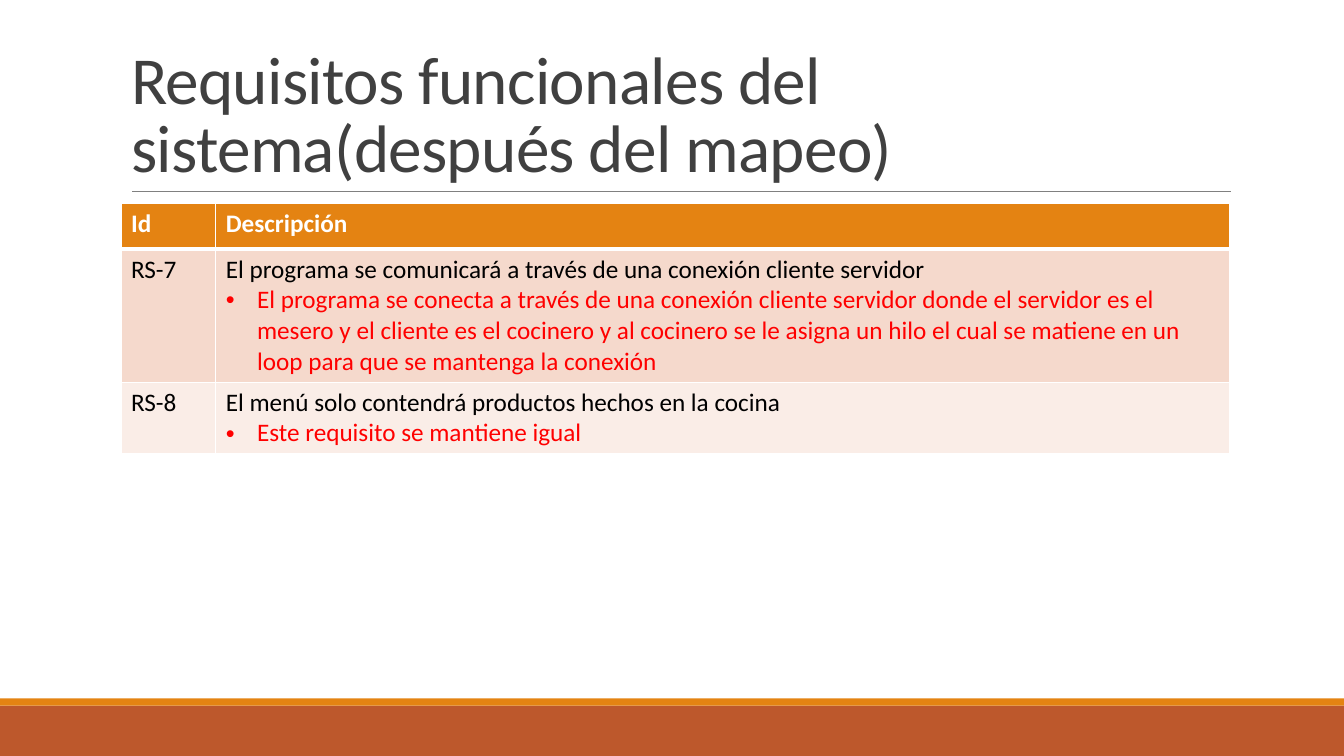
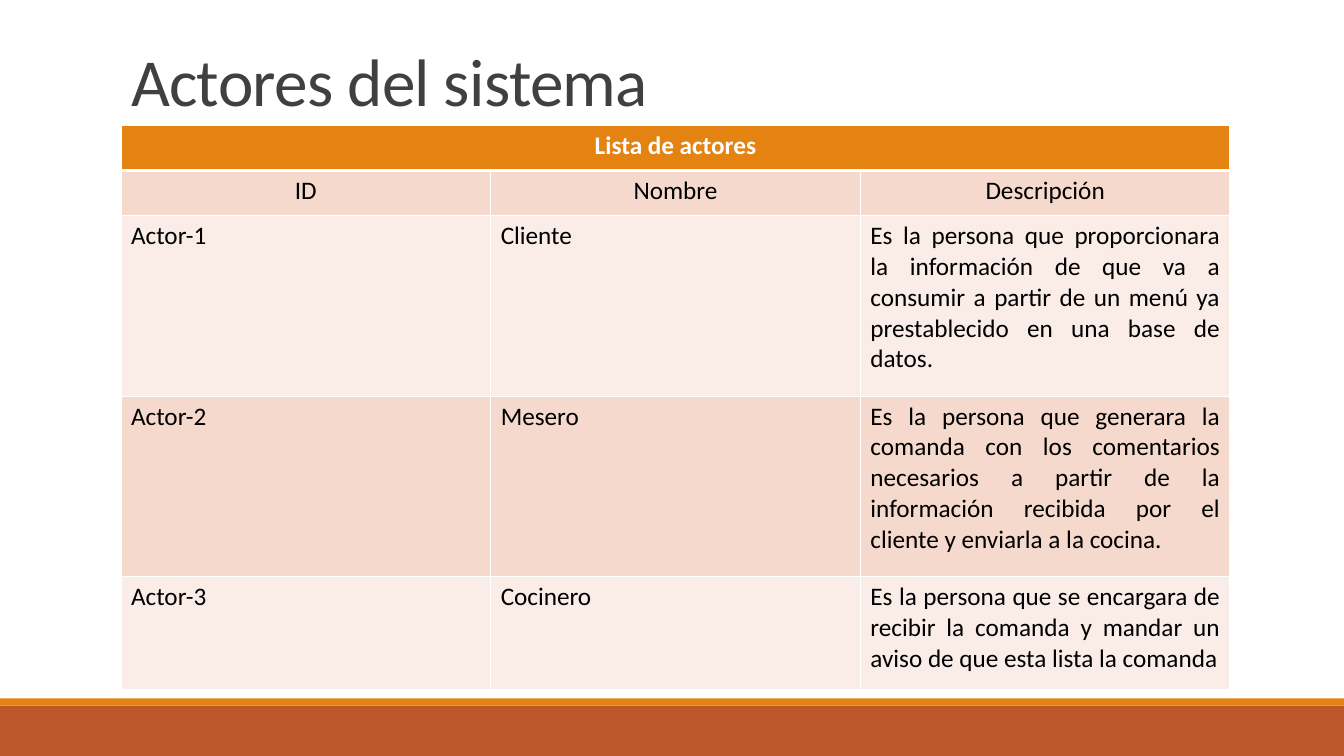
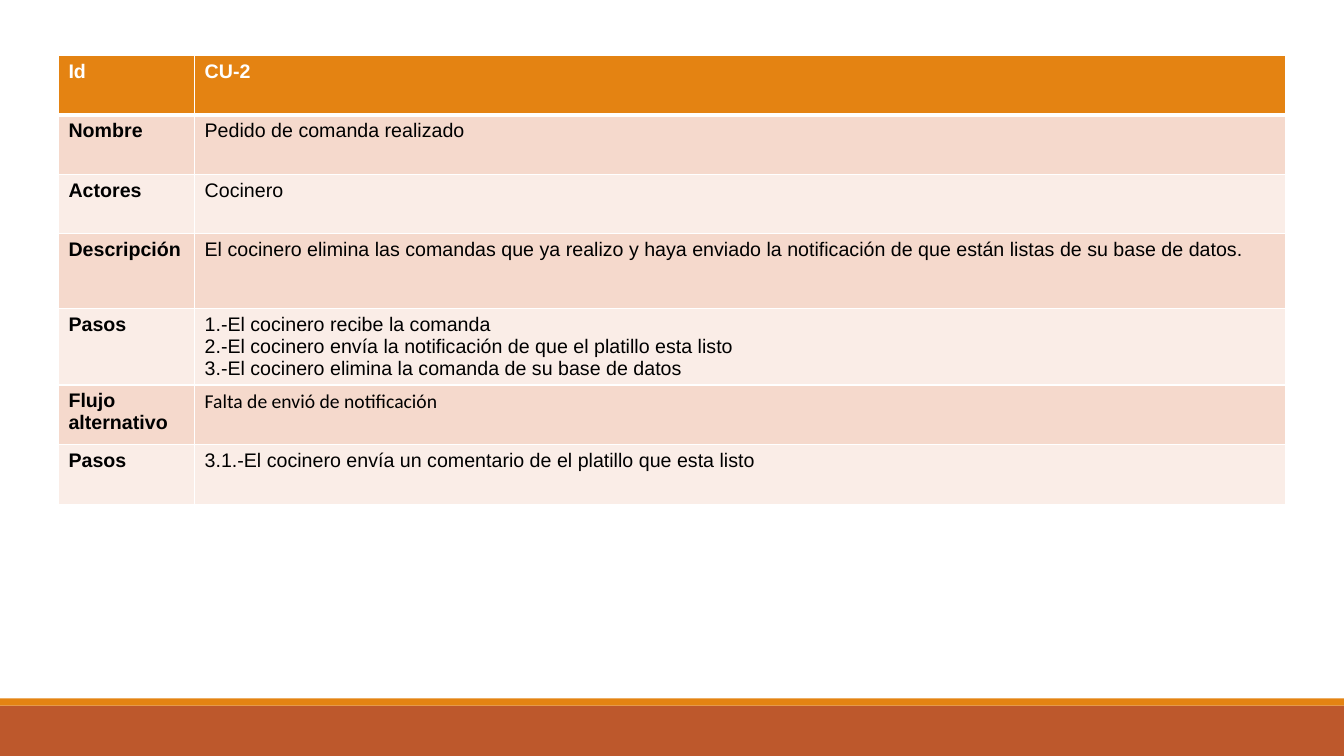
from lxml import etree
from pptx import Presentation
from pptx.dml.color import RGBColor
from pptx.enum.shapes import MSO_CONNECTOR, MSO_SHAPE
from pptx.enum.text import MSO_ANCHOR, MSO_AUTO_SIZE, PP_ALIGN
from pptx.oxml.ns import qn
from pptx.util import Inches, Pt

CENTER, JUSTIFY = PP_ALIGN.CENTER, PP_ALIGN.JUSTIFY
WHITE = RGBColor(0xFF, 0xFF, 0xFF)
BLACK = RGBColor(0x00, 0x00, 0x00)
RED = RGBColor(0xFF, 0x00, 0x00)
GRAY = RGBColor(0x80, 0x80, 0x80)
TITLE_GRAY = RGBColor(0x40, 0x40, 0x40)
ORANGE = RGBColor(0xE4, 0x83, 0x12)
RUST = RGBColor(0xBD, 0x58, 0x2C)
DARK_BAND = RGBColor(0xF5, 0xD9, 0xCC)
LIGHT_BAND = RGBColor(0xFA, 0xED, 0xE7)
BULLET = "• "


def add_solid_fill(parent, color):
    fill = etree.SubElement(parent, qn("a:solidFill"))
    etree.SubElement(fill, qn("a:srgbClr"), val=str(color))


def add_banded_table(page, left, top, widths, heights, rows, font="Calibri", size=18):
    """Add a table whose cells hold a text or a list of paragraph texts."""
    frame = page.shapes.add_table(
        len(heights), len(widths), Inches(left), Inches(top),
        Inches(sum(widths)), Inches(sum(heights)))
    table = frame.table
    for column, width in zip(table.columns, widths):
        column.width = Inches(width)
    for row, height in zip(table.rows, heights):
        row.height = Inches(height)

    for row_index, row in enumerate(rows):
        is_header = row_index == 0
        for column_index, content in enumerate(row):
            cell = table.cell(row_index, column_index)
            properties = cell._tc.get_or_add_tcPr()
            for side in ("L", "R", "T", "B"):
                thick = (row_index, side) in ((0, "B"), (1, "T"))
                border = etree.SubElement(
                    properties, qn(f"a:ln{side}"), w=str(Pt(3 if thick else 1)))
                add_solid_fill(border, WHITE)
            cell.fill.solid()
            band = DARK_BAND if row_index % 2 else LIGHT_BAND
            cell.fill.fore_color.rgb = ORANGE if is_header else band

            texts = [content] if isinstance(content, str) else content
            for text_index, text in enumerate(texts):
                text_frame = cell.text_frame
                para = text_frame.add_paragraph() if text_index else text_frame.paragraphs[0]
                is_bullet = text.startswith(BULLET)
                span = para.add_run()
                span.text = text.removeprefix(BULLET)
                span.font.name = font
                span.font.size = Pt(size)
                span.font.bold = is_header
                span.font.color.rgb = WHITE if is_header else RED if is_bullet else BLACK
                if is_bullet:
                    settings = para._p.get_or_add_pPr()
                    settings.set("marL", str(Inches(0.31)))
                    settings.set("indent", str(Inches(-0.31)))
                    etree.SubElement(settings, qn("a:buFont"), typeface="Arial")
                    etree.SubElement(settings, qn("a:buChar"), char=BULLET.strip())
    return table


deck = Presentation()
deck.slide_width = Inches(13.33)
deck.slide_height = Inches(7.5)
master = deck.slide_master
TITLE_ONLY, BLANK = deck.slide_layouts[5], deck.slide_layouts[6]

# Title style of the master
master_title = next(shape for shape in master.placeholders if shape.placeholder_format.idx == 0)
master_title.left, master_title.top = Inches(1.2), Inches(0.31)
master_title.width, master_title.height = Inches(11), Inches(1.59)
master_title.text_frame.vertical_anchor = MSO_ANCHOR.BOTTOM
master_title.text_frame.auto_size = MSO_AUTO_SIZE.NONE

title_level = master.element.find(".//" + qn("p:titleStyle")).find(qn("a:lvl1pPr"))
title_level.set("algn", "l")
line_spacing = etree.Element(qn("a:lnSpc"))
etree.SubElement(line_spacing, qn("a:spcPct"), val="85000")
title_level.insert(0, line_spacing)
title_level.remove(title_level.find(qn("a:defRPr")))
title_font = etree.SubElement(title_level, qn("a:defRPr"), sz="4800", spc="-50")
add_solid_fill(title_font, TITLE_GRAY)
etree.SubElement(title_font, qn("a:latin"), typeface="Calibri")

# Functional requirements
page = deck.slides.add_slide(TITLE_ONLY)

# Footer bands and title rule, moved to the master so that every slide shows them
decorations = []
for top, height, color in ((7, 0.5, RUST), (6.93, 0.07, ORANGE)):
    footer_band = page.shapes.add_shape(
        MSO_SHAPE.RECTANGLE, 0, Inches(top), deck.slide_width, Inches(height))
    footer_band.shadow.inherit = False
    footer_band.fill.solid()
    footer_band.fill.fore_color.rgb = color
    footer_band.line.fill.background()
    decorations.append(footer_band)
title_rule = page.shapes.add_connector(
    MSO_CONNECTOR.STRAIGHT, Inches(1.31), Inches(1.9), Inches(12.21), Inches(1.9))
title_rule.line.color.rgb = GRAY
title_rule.line.width = Pt(0.5)
etree.SubElement(title_rule.element.spPr, qn("a:effectLst"))
decorations.append(title_rule)
for shape_id, decoration in enumerate(decorations, start=101):
    decoration.element.xpath(".//p:cNvPr")[0].set("id", str(shape_id))
    master.shapes.element.append(decoration.element)

page.shapes.title.text_frame.paragraphs[0].add_run().text = (
    "Requisitos funcionales del sistema(después del mapeo)")
add_banded_table(page, 1.2, 2.02, [0.94, 10.06], [0.45, 1.3, 0.7], [
    ["Id", "Descripción"],
    ["RS-7", [
        "El programa se comunicará a través de una conexión cliente servidor",
        BULLET + "El programa se conecta a través de una conexión cliente servidor donde "
        "el servidor es el mesero y el cliente es el cocinero y al cocinero se le asigna "
        "un hilo el cual se matiene en un loop para que se mantenga la conexión"]],
    ["RS-8", [
        "El menú solo contendrá productos hechos en la cocina",
        BULLET + "Este requisito se mantiene igual"]],
])

# Actors
page = deck.slides.add_slide(TITLE_ONLY)
title = page.shapes.title
title.left, title.top = Inches(1.2), Inches(0.31)
title.width, title.height = Inches(11), Inches(0.93)
title.text_frame.paragraphs[0].add_run().text = "Actores del sistema"
actors = add_banded_table(page, 1.2, 1.24, [11 / 3] * 3, [0.45, 0.45, 1.79, 1.79, 1.12], [
    ["Lista de actores"],
    ["ID", "Nombre", "Descripción"],
    ["Actor-1", "Cliente",
     "Es la persona que proporcionara la información de que va a consumir a partir de un "
     "menú ya prestablecido en una base de datos."],
    ["Actor-2", "Mesero",
     "Es la persona que generara la comanda con los comentarios necesarios a partir de la "
     "información recibida por el cliente y enviarla a la cocina."],
    ["Actor-3", "Cocinero",
     "Es la persona que se encargara de recibir la comanda y mandar un aviso de que esta "
     "lista la comanda"],
])
actors.cell(0, 0).merge(actors.cell(0, 2))
for row_index, row in enumerate(actors.rows):
    for cell in row.cells:
        cell.text_frame.paragraphs[0].alignment = CENTER if row_index < 2 else JUSTIFY

# Use case
page = deck.slides.add_slide(BLANK)
use_case = add_banded_table(
    page, 0.58, 0.55, [1.35, 10.82], [0.59, 0.59, 0.59, 0.74, 0.76, 0.59, 0.6], [
        ["Id", "CU-2"],
        ["Nombre", "Pedido de comanda realizado"],
        ["Actores", "Cocinero"],
        ["Descripción",
         "El cocinero elimina las comandas que ya realizo y haya enviado la notificación de "
         "que están listas de su base de datos."],
        ["Pasos", [
            "1.-El cocinero recibe la comanda",
            "2.-El cocinero envía la notificación de que el platillo esta listo",
            "3.-El cocinero elimina la comanda de su base de datos"]],
        ["Flujo alternativo", "Falta de envió de notificación"],
        ["Pasos", "3.1.-El cocinero envía un comentario de el platillo que esta listo"],
    ], font="Arial", size=14)
for row in use_case.rows:
    row.cells[0].text_frame.paragraphs[0].runs[0].font.bold = True
use_case.cell(5, 1).text_frame.paragraphs[0].runs[0].font.name = "Calibri"

deck.save("out.pptx")
